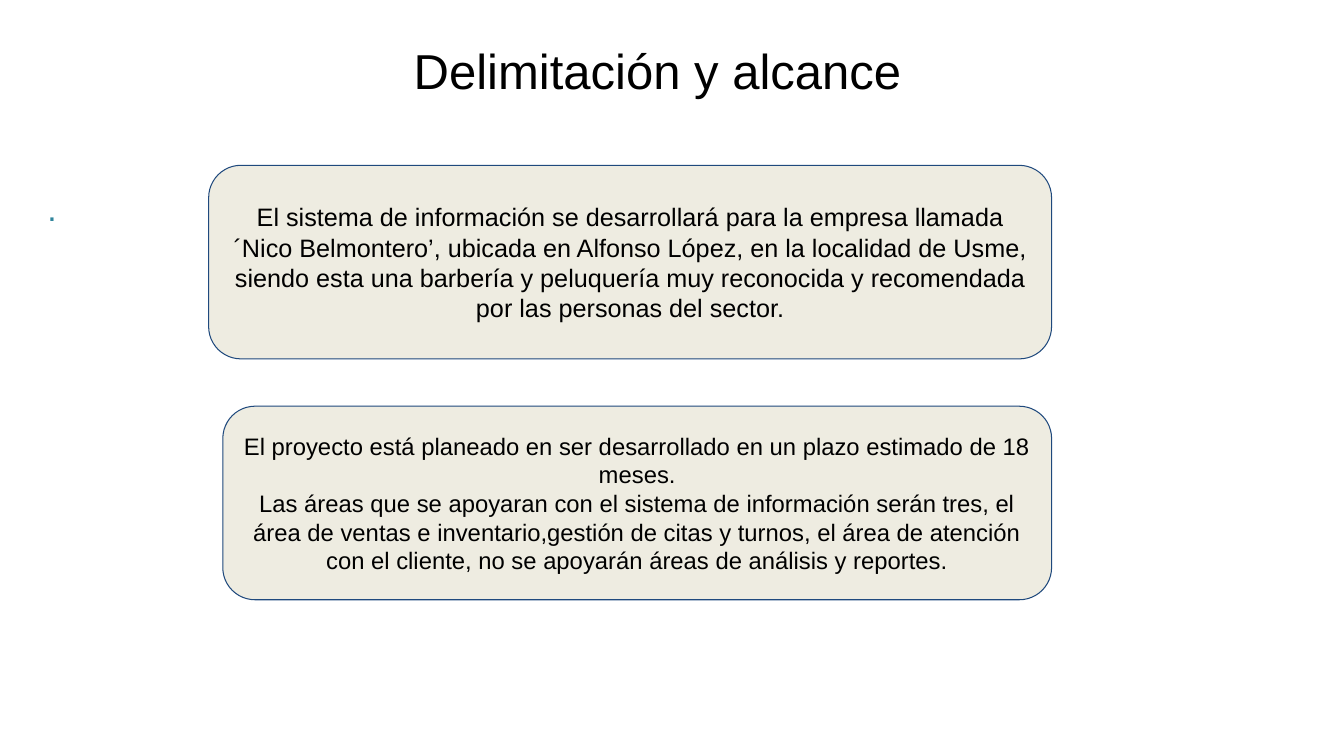
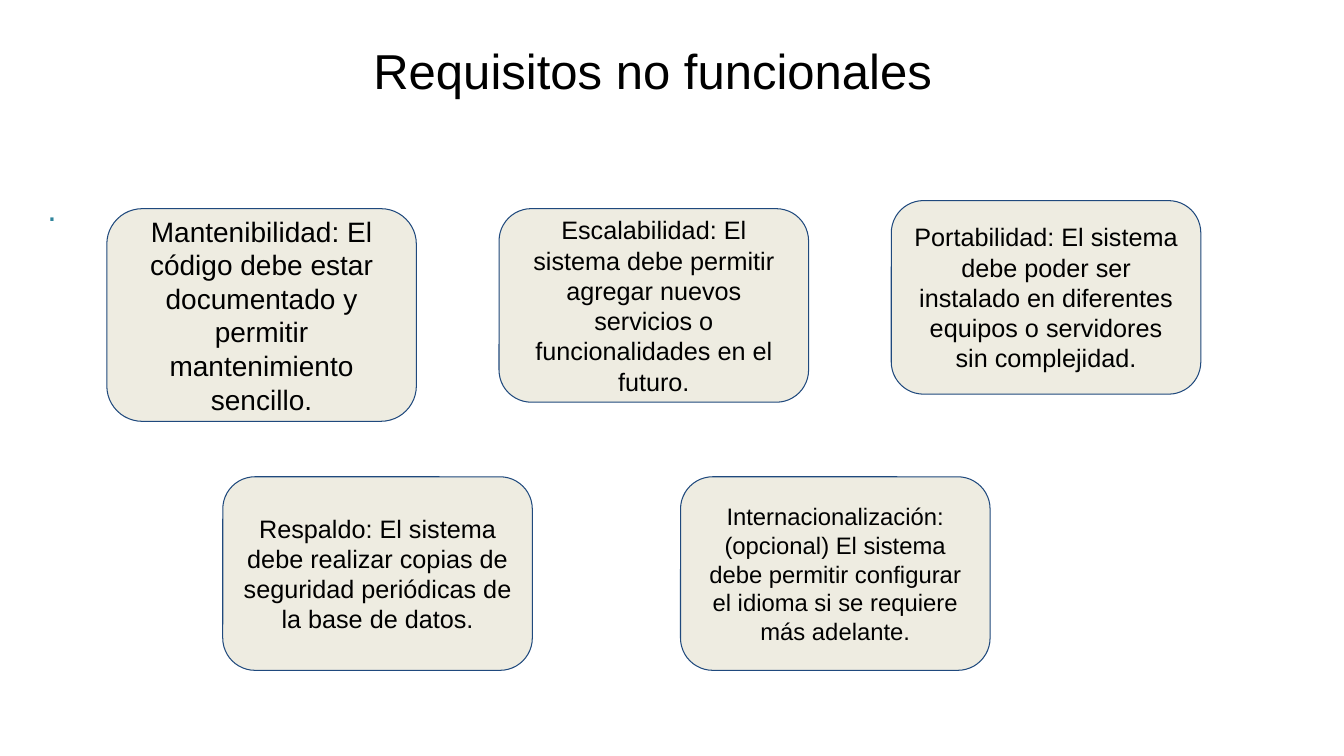
import pptx
import pptx.dml.color
import pptx.enum.shapes
import pptx.enum.text
import pptx.util
from dataclasses import dataclass

Inches = pptx.util.Inches
Align = pptx.enum.text.PP_ALIGN
Anchor = pptx.enum.text.MSO_ANCHOR
Fit = pptx.enum.text.MSO_AUTO_SIZE


@dataclass(frozen=True)
class Theme:
    font: str = "Arial"
    ink: str = "000000"
    dot: str = "30859C"
    card: str = "EEECE1"
    edge: str = "1F497D"
    line: float = 0.75
    inset: tuple = (0.1, 0.1, 0.1, 0.1)
    title_size: int = 35
    dot_size: int = 24
    body_size: int = 18
    small_size: int = 17
    large_size: int = 20


def rgb(code):
    return pptx.dml.color.RGBColor.from_string(code)


class Deck:
    def __init__(self, theme):
        self.theme = theme
        self.file = pptx.Presentation()
        self.file.slide_width = Inches(13.33)
        self.file.slide_height = Inches(7.5)
        self.slide = None

    def start(self, title, left, width):
        """Add a slide with the shared dot and a title."""
        look = self.theme
        self.slide = self.file.slides.add_slide(self.file.slide_layouts[6])
        dot = self.label(".", (0.47, 1.85, 0.12, 0.42), look.dot_size,
                         look.dot, (0, 0.01, 0, 0))
        dot.auto_size = Fit.SHAPE_TO_FIT_TEXT
        self.label(title, (left, 0.3, width, 0.86), look.title_size, look.ink)

    def label(self, text, box, size, color, inset=None):
        shape = self.slide.shapes.add_textbox(*map(Inches, box))
        return self.fill_text(shape, [text], size, color, Align.LEFT,
                              Anchor.TOP, inset)

    def card(self, box, *lines, size=None):
        look = self.theme
        kind = pptx.enum.shapes.MSO_SHAPE.ROUNDED_RECTANGLE
        shape = self.slide.shapes.add_shape(kind, *map(Inches, box))
        shape.shadow.inherit = False
        shape.fill.solid()
        shape.fill.fore_color.rgb = rgb(look.card)
        shape.line.color.rgb = rgb(look.edge)
        shape.line.width = pptx.util.Pt(look.line)
        self.fill_text(shape, lines, size or look.body_size, look.ink,
                       Align.CENTER, Anchor.MIDDLE)

    def fill_text(self, shape, lines, size, color, align, anchor, inset=None):
        frame = shape.text_frame
        sides = ("margin_left", "margin_top", "margin_right", "margin_bottom")
        layout = dict(zip(sides, map(Inches, inset or self.theme.inset)))
        layout.update(word_wrap=True, vertical_anchor=anchor)
        for name, value in layout.items():
            setattr(frame, name, value)
        style = {"name": self.theme.font, "size": pptx.util.Pt(size)}
        for index, line in enumerate(lines):
            para = frame.add_paragraph() if index else frame.paragraphs[0]
            para.alignment = align
            run = para.add_run()
            run.text = line
            for name, value in style.items():
                setattr(run.font, name, value)
            run.font.color.rgb = rgb(color)
        return frame


def scope(deck):
    deck.start(" Delimitación y alcance", 3.87, 5.23)
    right, high = 10.43, 1.92
    deck.card(
        (2.07, 1.64, right - 2.07, high),
        "El sistema de información se desarrollará para la empresa llamada "
        "´Nico Belmontero’, ubicada en Alfonso López, en la localidad de "
        "Usme, siendo esta una barbería y peluquería muy reconocida y "
        "recomendada por las personas del sector.")
    deck.card(
        (2.21, 4.03, right - 2.21, high),
        "El proyecto está planeado en ser desarrollado en un plazo estimado "
        "de 18 meses.",
        "Las áreas que se apoyaran con el sistema de información serán tres, "
        "el área de ventas e inventario,gestión de citas y turnos, el área de "
        "atención con el cliente, no se apoyarán áreas de análisis y "
        "reportes.",
        size=deck.theme.small_size)


def needs(deck):
    deck.start(" Requisitos no funcionales", 3.47, 6.86)
    look = deck.theme
    wide, high = 3.07, 1.92
    left, step = 1.06, 3.89
    top, low = 2.07, 4.73
    cards = (
        (left, top, 2.11, look.large_size,
         "Mantenibilidad: El código debe estar documentado y permitir "
         "mantenimiento sencillo."),
        (left + step, top, high, look.body_size,
         "Escalabilidad: El sistema debe permitir agregar nuevos servicios o "
         "funcionalidades en el futuro."),
        (left + 2 * step, 1.99, high, look.body_size,
         "Portabilidad: El sistema debe poder ser instalado en diferentes "
         "equipos o servidores sin complejidad."),
        (2.21, low, high, look.body_size,
         "Respaldo: El sistema debe realizar copias de seguridad periódicas "
         "de la base de datos."),
        (6.75, low, high, look.small_size,
         "Internacionalización: (opcional) El sistema debe permitir "
         "configurar el idioma si se requiere más adelante."),
    )
    for x, y, tall, size, text in cards:
        deck.card((x, y, wide, tall), text, size=size)


def main():
    deck = Deck(Theme())
    scope(deck)
    needs(deck)
    deck.file.save("out.pptx")


if __name__ == "__main__":
    main()
